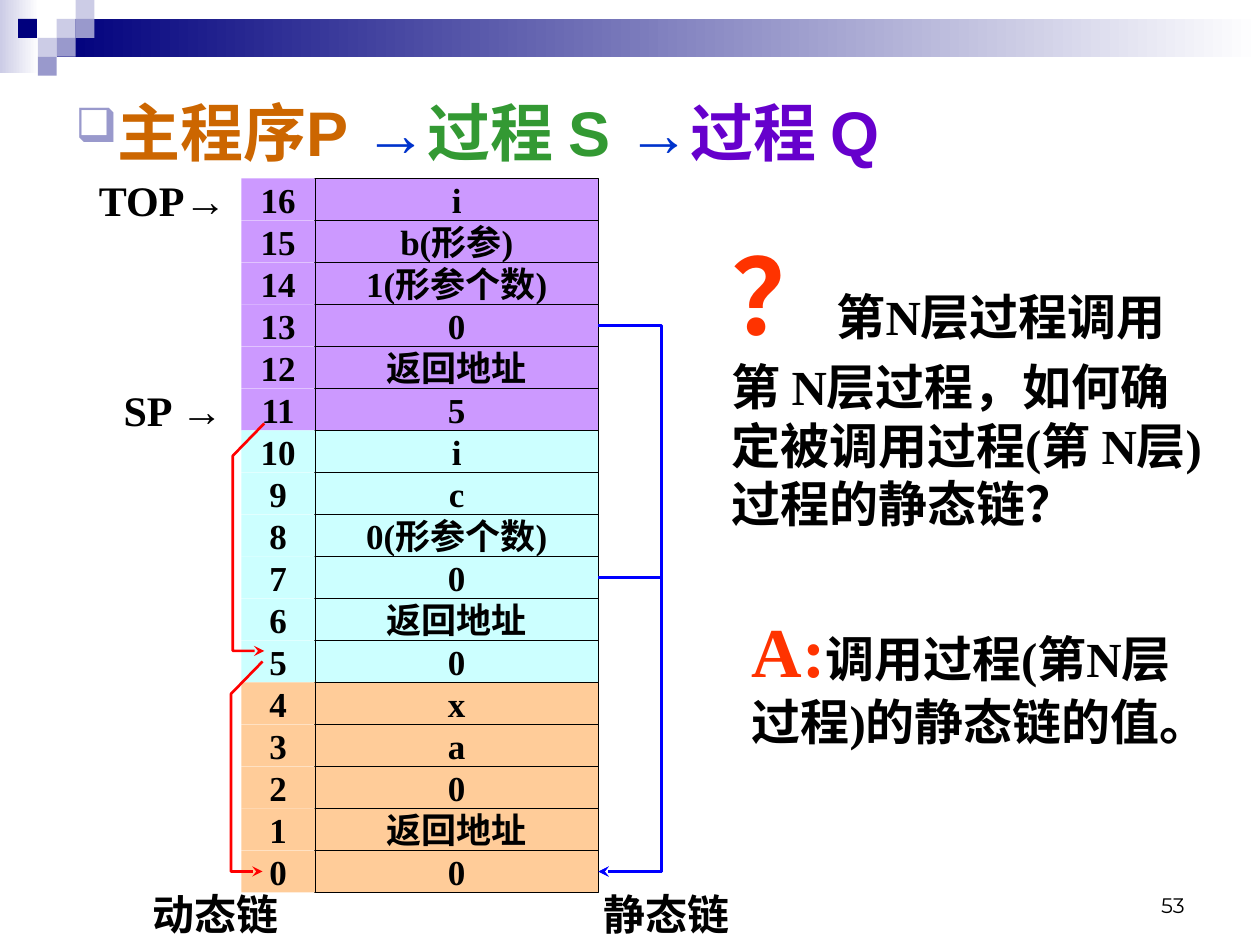
from lxml.etree import SubElement
from pptx import Presentation
from pptx.dml.color import RGBColor
from pptx.enum.shapes import MSO_SHAPE as Shape
from pptx.enum.text import MSO_ANCHOR as Anchor, PP_ALIGN as Align
from pptx.oxml.ns import qn
from pptx.util import Pt

SERIF = "Times New Roman"
ROW_HEIGHT = 24
INDEX_WIDTH = 42
# Stack frames from the top down: colour and the content of each cell
FRAMES = [
    ("CC99FF", ["i", "b(形参)", "1(形参个数)", "0", "返回地址", "5"]),
    ("CCFFFF", ["i", "c", "0(形参个数)", "0", "返回地址", "0"]),
    ("FFCC99", ["x", "a", "0", "返回地址", "0"]),
]


def color(value):
    return RGBColor.from_string(value)


def write(shape, runs, align=Align.LEFT, anchor=Anchor.MIDDLE, wrap=False, margin=3.6):
    """Fill one paragraph with (text, size, font, colour, bold) runs."""
    frame = shape.text_frame
    layout = {"word_wrap": wrap, "vertical_anchor": anchor,
              "margin_left": Pt(7.2), "margin_right": Pt(7.2),
              "margin_top": Pt(margin), "margin_bottom": Pt(margin)}
    for name, value in layout.items():
        setattr(frame, name, value)
    para = frame.paragraphs[0]
    para.alignment = align
    for text, size, font, ink, bold in runs:
        span = para.add_run()
        span.text = text
        for name, value in {"size": Pt(size), "name": font, "bold": bold}.items():
            setattr(span.font, name, value)
        span.font.color.rgb = color(ink)
    return para


def add_text(page, box, runs, **layout):
    return write(page.shapes.add_textbox(*map(Pt, box)), runs, **layout)


def add_block(page, box, fill, line=None):
    block = page.shapes.add_shape(Shape.RECTANGLE, *map(Pt, box))
    block.shadow.inherit = False
    if isinstance(fill, tuple):
        block.fill.gradient()
        block.fill.gradient_angle = 0
        for stop, value in zip(block.fill.gradient_stops, fill):
            stop.color.rgb = color(value)
    else:
        block.fill.solid()
        block.fill.fore_color.rgb = color(fill)
    if line:
        block.line.color.rgb = color(line)
        block.line.width = Pt(1)
    else:
        block.line.fill.background()
    return block


def add_banner(page, left, top, width):
    """Gradient bar with a checker of small squares at its left end."""
    add_block(page, (left, top, 22.3, 41.8), ("CCCCE6", "FFFFFF"))
    add_block(page, (left + 32.4, top + 10.8, width - 32.4, 21.6), ("00007D", "FFFFFF"))
    size = 10.8
    squares = [(3, 1, "CCCCE6"), (4, 0, "CCCCE6"), (4, 1, "9999CC"), (2, 2, "CCCCE6"),
               (1, 1, "00007D"), (3, 2, "9999CC"), (2, 3, "9999CC")]
    for column, row, fill in squares:
        x = left + column * size - (0.5 if column == 1 else 0)
        add_block(page, (x, top + row * size, size, size), fill)


def add_title(page, box):
    runs = [("主程序P ", "CC6600"), ("→", "0033CC"), ("过程 S ", "339933"),
            ("→", "0033CC"), ("过程 Q", "6600CC")]
    para = add_text(page, box, [(text, 36, "Arial", ink, True) for text, ink in runs],
                    wrap=True)
    properties = para._p.get_or_add_pPr()
    bullet_color = SubElement(properties, qn("a:buClr"))
    SubElement(bullet_color, qn("a:srgbClr"), val="9999CC")
    SubElement(properties, qn("a:buSzPct"), val="75000")
    SubElement(properties, qn("a:buChar"), char="❑")


def add_link(page, points, ink):
    """Open polyline ending in a stealth arrowhead."""
    start, *rest = [(Pt(x), Pt(y)) for x, y in points]
    builder = page.shapes.build_freeform(*start)
    builder.add_line_segments(rest, close=False)
    link = builder.convert_to_shape()
    link.shadow.inherit = False
    link.fill.background()
    link.line.color.rgb = color(ink)
    link.line.width = Pt(1.5)
    SubElement(link.line._get_or_add_ln(), qn("a:tailEnd"), type="stealth")


def add_stack(page, left, top, width):
    """Numbered memory cells with their pointers, chains and chain labels."""
    cells = [(fill, text) for fill, texts in FRAMES for text in texts]
    last = len(cells) - 1
    split = left + INDEX_WIDTH
    right = left + width

    def row_top(address):
        return top + (last - address) * ROW_HEIGHT

    def row_middle(address):
        return row_top(address) + ROW_HEIGHT / 2

    for row, (fill, text) in enumerate(cells):
        address = last - row
        y = row_top(address)
        for x, cell_width, label, line in [
                (split, width - INDEX_WIDTH, text, "000000"),
                (left, INDEX_WIDTH, str(address), None)]:
            cell = add_block(page, (x, y, cell_width, ROW_HEIGHT), fill, line)
            write(cell, [(label, 20, SERIF, "000000", True)], Align.CENTER, margin=0)

    for x, address, words in [
            (left - 96, last, [("TOP", SERIF), ("→", "Arial")]),
            (left - 90, 11, [("SP ", SERIF), ("→", "Arial")]),
            (left - 66, -1, [("动态链", SERIF)]),
            (right - 12, -1, [("静态链", SERIF)])]:
        add_text(page, (x, row_top(address), 102, ROW_HEIGHT),
                 [(text, 24, font, "000000", True) for text, font in words],
                 align=Align.CENTER)

    for x, start, end in [(left + 13, row_middle(11) + 8, row_middle(5) - 6),
                          (left + 12, row_middle(5), row_middle(0))]:
        bend = x - 18
        add_link(page, [(x, start), (bend, start + 18.5), (bend, end), (x, end)], "FF0000")
    for address in (7, 13):
        start, end = row_middle(address), row_middle(0)
        add_link(page, [(right, start), (right + 36, start), (right + 36, end), (right, end)],
                 "0000FF")


def add_remark(page, box, mark, mark_size, text):
    add_text(page, box, [(mark, mark_size, SERIF, "FF3300", True),
                         (text, 28, SERIF, "000000", True)], anchor=Anchor.TOP, wrap=True)


def main():
    deck = Presentation()
    deck.slide_width, deck.slide_height = Pt(720), Pt(540)
    page = deck.slides.add_slide(deck.slide_layouts[6])
    add_banner(page, 0, 0, 720)
    add_title(page, (36, 36, 648, 78.5))
    add_stack(page, 138, 102, 204)
    add_remark(page, (411, 128, 289.5, 180), "？", 60,
               "第N层过程调用第 N层过程，如何确定被调用过程(第 N层)过程的静态链？")
    add_remark(page, (422.5, 343.5, 278, 122.5), "A:", 40, "调用过程(第N层过程)的静态链的值。")
    add_text(page, (516, 492, 168, 36), [("53", 12, "Montserrat", "000000", False)],
             align=Align.RIGHT, anchor=Anchor.BOTTOM, wrap=True)
    deck.save("out.pptx")


if __name__ == "__main__":
    main()
